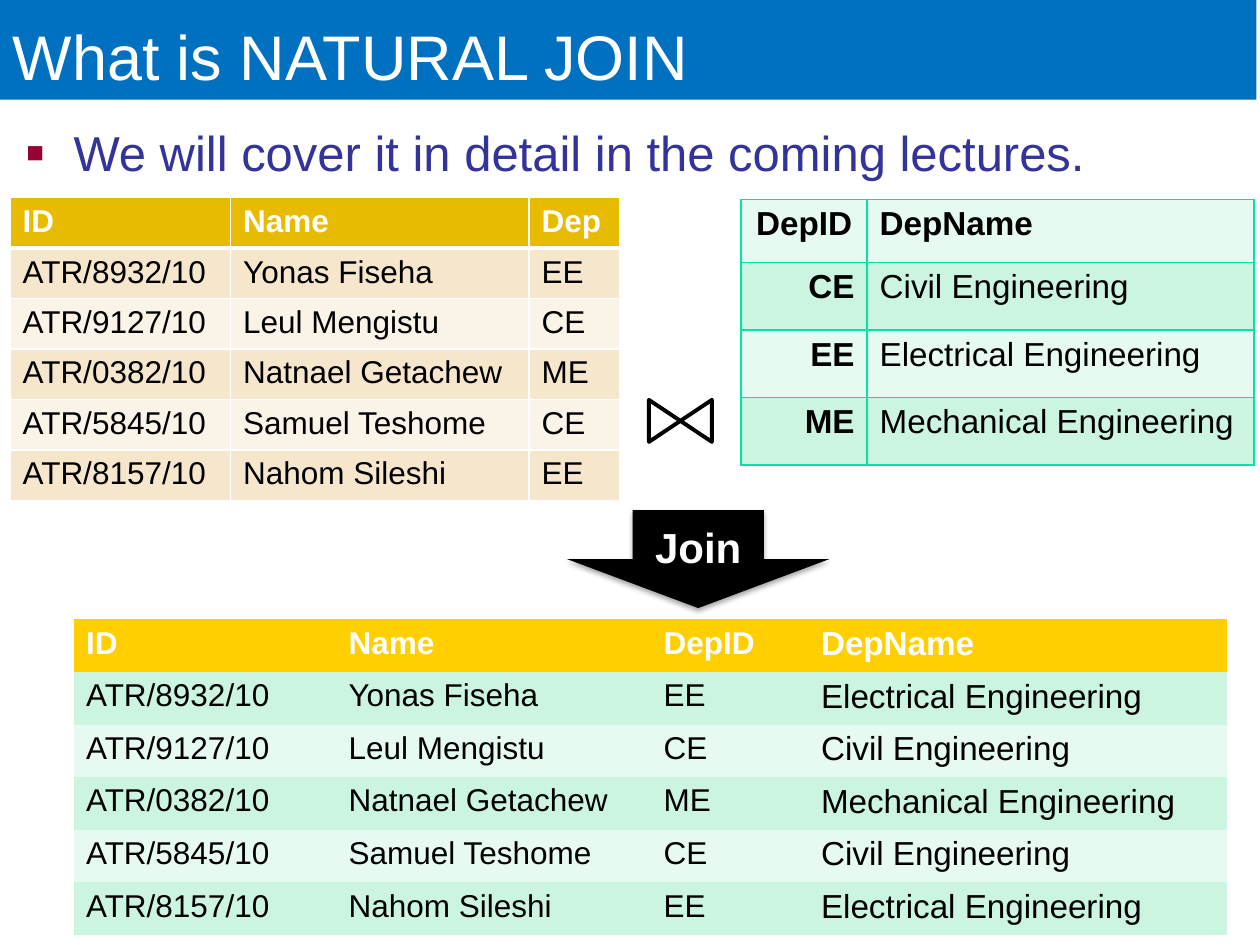
from lxml import etree
from pptx import Presentation
from pptx.dml.color import RGBColor
from pptx.enum import shapes, text
from pptx.oxml import parse_xml
from pptx.oxml.ns import qn
from pptx.util import Pt

TITLE = "What is NATURAL JOIN"
NOTE = "We will cover it in detail in the coming lectures."
PEOPLE = [
    ("ATR/8932/10", "Yonas Fiseha", "EE"),
    ("ATR/9127/10", "Leul Mengistu", "CE"),
    ("ATR/0382/10", "Natnael Getachew", "ME"),
    ("ATR/5845/10", "Samuel Teshome", "CE"),
    ("ATR/8157/10", "Nahom Sileshi", "EE"),
]
DEPS = {
    "CE": "Civil Engineering",
    "EE": "Electrical Engineering",
    "ME": "Mechanical Engineering",
}
JOINED = [row + (DEPS[row[2]],) for row in PEOPLE]

FONT = "Arial"
HEX = {
    "white": "FFFFFF", "black": "000000", "blue": "0070C0",
    "navy": "333399", "wine": "990033", "gold": "E7BB01",
    "sand": "F6E7CC", "cream": "FAF3E7", "yellow": "FFCF01",
    "mint": "CCF5E1", "pale": "E7FAF1", "teal": "00E4A8",
}
A = 'xmlns:a="http://schemas.openxmlformats.org/drawingml/2006/main"'
LEFT, MID, RIGHT = text.PP_ALIGN.LEFT, text.PP_ALIGN.CENTER, text.PP_ALIGN.RIGHT

# "ends" lists the header fill and the two fills that alternate below it.
TABLES = [
    dict(at=(0.8 * 7.2, 113), cols=(126, 170.6, 51.8), heights=[27] + [27.4] * 5,
         rows=[("ID", "Name", "Dep")] + PEOPLE, sizes=(18, 18, 18),
         fills=("gold", "sand", "cream"), head="white", line="white", rule=3),
    dict(at=(423.5, 114), cols=(72, 221), heights=[36] + [38.6] * 3,
         rows=[("DepID", "DepName")] + list(DEPS.items()), sizes=(19, 19),
         fills=("pale", "mint", "pale"), head="black", line="teal", rule=1,
         key=True),
    dict(at=(42, 354), cols=(150, 180, 90, 239), heights=[28.4] * 6,
         rows=[("ID", "Name", "DepID", "DepName")] + JOINED,
         sizes=(18, 18, 18, 19), fills=("yellow", "mint", "pale"),
         head="white", line=None, rule=0),
]


def paint(fill, name):
    fill.solid()
    fill.fore_color.rgb = RGBColor.from_string(HEX[name])


def style(par, size, name, bold=False, align=LEFT):
    par.alignment = align
    for run in par.runs:
        font = run.font
        font.name, font.size, font.bold = FONT, Pt(size), bold
        font.color.rgb = RGBColor.from_string(HEX[name])


def edge(cell, name, widths):
    """Set left, right, top and bottom borders; no name means no line."""
    props = cell._tc.get_or_add_tcPr()
    for i, (side, width) in enumerate(zip("LRTB", widths)):
        ink = (f'<a:solidFill><a:srgbClr val="{HEX[name]}"/></a:solidFill>'
               if name else "<a:noFill/>")
        props.insert(i, parse_xml(
            f'<a:ln{side} {A} w="{Pt(width)}">{ink}</a:ln{side}>'))


def add_grid(slide, at, cols, heights, rows, sizes, fills, head, line, rule,
             key=False):
    """Add a table; rule is the line under the header, key a bold first column."""
    frame = slide.shapes.add_table(len(rows), len(cols), Pt(at[0]), Pt(at[1]),
                                   Pt(sum(cols)), Pt(sum(heights)))
    grid = frame.table
    for col, width in zip(grid.columns, cols):
        col.width = Pt(width)
    for r, (row, height) in enumerate(zip(rows, heights)):
        grid.rows[r].height = Pt(height)
        for c, word in enumerate(row):
            cell = grid.cell(r, c)
            cell.text = word
            first = key and c == 0
            align = (RIGHT if r else MID) if first else LEFT
            style(cell.text_frame.paragraphs[0], sizes[c],
                  "black" if r else head, r == 0 or first, align)
            paint(cell.fill, fills[0] if r == 0 else fills[2 - r % 2])
            edge(cell, line, (1, 1, rule if r == 1 else 1, rule if r == 0 else 1))


def add_title(slide):
    title = slide.shapes.title
    title.left, title.top, title.width, title.height = 0, 0, Pt(718), Pt(57)
    paint(title.fill, "blue")
    frame = title.text_frame
    frame.text = TITLE
    frame.auto_size = text.MSO_AUTO_SIZE.NONE
    frame.vertical_anchor = text.MSO_ANCHOR.BOTTOM
    style(frame.paragraphs[0], 36, "white")


def add_note(slide):
    frame = slide.shapes.add_textbox(Pt(8), Pt(66.5), Pt(712), Pt(42)).text_frame
    frame.word_wrap = True
    frame.margin_right = 0
    frame.text = NOTE
    par = frame.paragraphs[0]
    style(par, 28, "navy")
    props = par._p.get_or_add_pPr()
    props.set("marL", str(Pt(27)))
    props.set("indent", str(Pt(-27)))
    for item in (
        '<a:spcBef {}><a:spcPct val="20000"/></a:spcBef>',
        f'<a:buClr {{}}><a:srgbClr val="{HEX["wine"]}"/></a:buClr>',
        '<a:buSzPct {} val="60000"/>',
        f'<a:buFont {{}} typeface="{FONT}"/>',
        '<a:buChar {} char="■"/>',
    ):
        props.append(parse_xml(item.format(A)))


def add_arrow(slide):
    arrow = slide.shapes.add_shape(shapes.MSO_SHAPE.DOWN_ARROW,
                                   Pt(324), Pt(291.5), Pt(150), Pt(56))
    paint(arrow.fill, "black")
    arrow.line.fill.background()
    arrow.shadow.inherit = False
    glow = arrow._element.spPr.find(qn("a:effectLst"))
    drop = etree.SubElement(glow, qn("a:outerShdw"), blurRad=str(Pt(3.1)),
                            dist=str(Pt(1.8)), dir="5400000", rotWithShape="0")
    ink = etree.SubElement(drop, qn("a:srgbClr"), val=HEX["black"])
    etree.SubElement(ink, qn("a:alpha"), val="35000")
    frame = arrow.text_frame
    frame.word_wrap = False
    frame.vertical_anchor = text.MSO_ANCHOR.MIDDLE
    frame.text = "Join"
    style(frame.paragraphs[0], 24, "white", True, MID)


def add_bowtie(slide):
    tie = slide.shapes.add_shape(shapes.MSO_SHAPE.FLOWCHART_COLLATE,
                                 Pt(376.8), Pt(222.5), Pt(24), Pt(36))
    tie.rotation = 90
    tie.shadow.inherit = False
    tie.fill.background()
    paint(tie.line.fill, "black")
    tie.line.width = Pt(2.25)


def main():
    deck = Presentation()
    deck.slide_width, deck.slide_height = Pt(720), Pt(540)
    slide = deck.slides.add_slide(deck.slide_layouts[5])
    add_title(slide)
    add_note(slide)
    for table in TABLES:
        add_grid(slide, **table)
    add_arrow(slide)
    add_bowtie(slide)
    deck.save("out.pptx")


if __name__ == "__main__":
    main()
